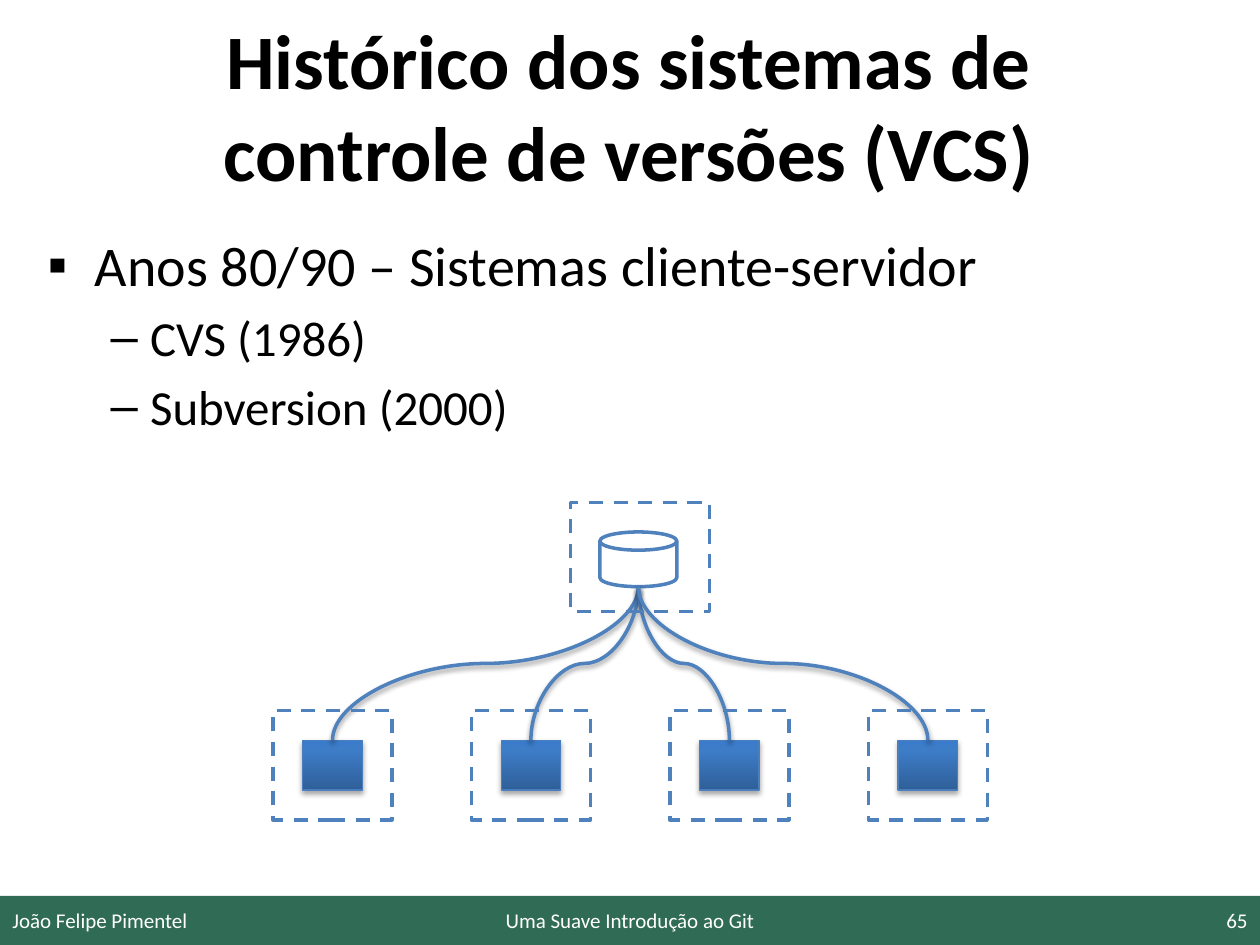
from dataclasses import dataclass

from lxml import etree
from pptx import Presentation
from pptx.dml.color import RGBColor
from pptx.enum.dml import MSO_LINE
from pptx.enum.shapes import MSO_CONNECTOR, MSO_SHAPE
from pptx.enum.text import MSO_ANCHOR, MSO_AUTO_SIZE, PP_ALIGN
from pptx.oxml.ns import qn
from pptx.util import Pt

RECTANGLE = MSO_SHAPE.RECTANGLE
DISK = MSO_SHAPE.FLOWCHART_MAGNETIC_DISK
CURVE = MSO_CONNECTOR.CURVE
DASH = MSO_LINE.DASH
LEFT, CENTER, RIGHT = PP_ALIGN.LEFT, PP_ALIGN.CENTER, PP_ALIGN.RIGHT
MIDDLE, TOP = MSO_ANCHOR.MIDDLE, MSO_ANCHOR.TOP

BLACK = RGBColor(0x00, 0x00, 0x00)
WHITE = RGBColor(0xFF, 0xFF, 0xFF)
GREEN = RGBColor(0x30, 0x6B, 0x55)
BLUE = RGBColor(0x4F, 0x81, 0xBD)
CLIENT_EDGE = RGBColor(0x4B, 0x7E, 0xBC)
# Position in percent and colour, from the bottom up
CLIENT_GRADIENT = (
    (0, RGBColor(0x2F, 0x5F, 0x99)),
    (80, RGBColor(0x3D, 0x7C, 0xC7)),
    (100, RGBColor(0x3A, 0x7C, 0xCB)),
)
FONT = "Calibri"


@dataclass(frozen=True)
class Box:
    """A rectangle in points."""
    left: float
    top: float
    width: float
    height: float

    @property
    def center(self) -> float:
        return self.left + self.width / 2

    @property
    def bottom(self) -> float:
        return self.top + self.height

    def lengths(self) -> tuple:
        return Pt(self.left), Pt(self.top), Pt(self.width), Pt(self.height)


@dataclass(frozen=True)
class FooterItem:
    text: str
    box: Box
    align: PP_ALIGN


FOOTER_BAR = Box(0, 512, 720, 28)
FOOTER_ITEMS = (
    FooterItem("João Felipe Pimentel", Box(0, 511.5, 168, 28.5), LEFT),
    FooterItem("Uma Suave Introdução ao Git", Box(246, 511.5, 228, 28.5), CENTER),
    FooterItem("65", Box(552, 511.5, 168, 28.5), RIGHT),
)
BULLETS = (
    ("Anos 80/90 – Sistemas cliente-servidor", 0),
    ("CVS (1986)", 1),
    ("Subversion (2000)", 1),
)
BULLET_SIZES = (32, 28)

SERVER_FRAME = Box(326, 287, 79.5, 62.5)
SERVER_DISK = Box(342.8, 304, 44, 31.3)
CLIENT_CENTERS = [190 + 113.4 * index for index in range(4)]
CLIENTS = [Box(center - 17, 423, 34, 28.5) for center in CLIENT_CENTERS]
CLIENT_FRAMES = [Box(center - 34, 406, 68, 62.5) for center in CLIENT_CENTERS]


def write(para, text: str, *, size: float, color: RGBColor = BLACK,
          bold: bool = False, align: PP_ALIGN = LEFT) -> None:
    para.alignment = align
    span = para.add_run()
    span.text = text
    span.font.name = FONT
    span.font.size = Pt(size)
    span.font.bold = bold
    span.font.color.rgb = color


def prepare_frame(shape, anchor: MSO_ANCHOR):
    frame = shape.text_frame
    frame.word_wrap = True
    frame.auto_size = MSO_AUTO_SIZE.NONE
    frame.vertical_anchor = anchor
    return frame


def place(shape, box: Box) -> None:
    shape.left, shape.top, shape.width, shape.height = box.lengths()


def draw_shape(page, kind: MSO_SHAPE, box: Box, *, fill: RGBColor | None = None,
               line: RGBColor | None = None, weight: float = 2,
               dash: MSO_LINE | None = None):
    shape = page.shapes.add_shape(kind, *box.lengths())
    shape.shadow.inherit = False
    if fill is None:
        shape.fill.background()
    else:
        shape.fill.solid()
        shape.fill.fore_color.rgb = fill
    if line is None:
        shape.line.fill.background()
    else:
        shape.line.color.rgb = line
        shape.line.width = Pt(weight)
        shape.line.dash_style = dash
    return shape


def add_shadow(shape, *, opacity: int, distance: float) -> None:
    properties = shape.element.spPr
    effects = properties.find(qn("a:effectLst"))
    if effects is None:
        effects = etree.SubElement(properties, qn("a:effectLst"))
    shadow = etree.SubElement(effects, qn("a:outerShdw"), blurRad=str(Pt(3.1)),
                              dist=str(Pt(distance)), dir="5400000", rotWithShape="0")
    color = etree.SubElement(shadow, qn("a:srgbClr"), val=str(BLACK))
    etree.SubElement(color, qn("a:alpha"), val=str(opacity * 1000))


def draw_client(page, box: Box) -> None:
    square = draw_shape(page, RECTANGLE, box, line=CLIENT_EDGE, weight=0.75)
    square.fill.gradient()
    square.fill.gradient_angle = 90
    stops = square.element.spPr.find(".//" + qn("a:gsLst"))
    stops.clear()
    for position, color in CLIENT_GRADIENT:
        stop = etree.SubElement(stops, qn("a:gs"), pos=str(position * 1000))
        etree.SubElement(stop, qn("a:srgbClr"), val=str(color))
    add_shadow(square, opacity=35, distance=1.8)


def draw_link(page, client: Box, server: Box) -> None:
    """Draw an S curve that leaves the client upwards, as a turned connector."""
    middle_x = (client.center + server.center) / 2
    middle_y = (client.top + server.bottom) / 2
    side = 1 if client.center < server.center else -1
    rise = side * (client.top - server.bottom) / 2
    reach = abs(server.center - client.center) / 2
    link = page.shapes.add_connector(
        CURVE, Pt(middle_x + rise), Pt(middle_y + reach),
        Pt(middle_x - rise), Pt(middle_y - reach))
    turn = 90 if side == 1 else 270
    link.element.spPr.find(qn("a:xfrm")).set("rot", str(turn * 60000))
    link.line.color.rgb = BLUE
    link.line.width = Pt(2)
    add_shadow(link, opacity=38, distance=1.6)


def main() -> None:
    deck = Presentation()
    deck.slide_width, deck.slide_height = Pt(720), Pt(540)
    page = deck.slides.add_slide(deck.slide_layouts[1])

    # Title
    title = page.shapes.title
    place(title, Box(72, 15, 575, 90))
    write(prepare_frame(title, MIDDLE).paragraphs[0],
          "Histórico dos sistemas de controle de versões (VCS)",
          size=44, bold=True, align=CENTER)

    # Bulleted list
    body = page.placeholders[1]
    place(body, Box(20, 128, 680, 363))
    frame = prepare_frame(body, TOP)
    for index, (text, level) in enumerate(BULLETS):
        para = frame.add_paragraph() if index else frame.paragraphs[0]
        para.level = level
        if index == 0:
            para.space_before = Pt(0)
        if level == 0:
            properties = para._p.get_or_add_pPr()
            etree.SubElement(properties, qn("a:buFont"), typeface="Arial")
            etree.SubElement(properties, qn("a:buChar"), char="▪")
        write(para, text, size=BULLET_SIZES[level])

    # Footer
    draw_shape(page, RECTANGLE, FOOTER_BAR, fill=GREEN)
    for item in FOOTER_ITEMS:
        label = page.shapes.add_textbox(*item.box.lengths())
        write(prepare_frame(label, MIDDLE).paragraphs[0], item.text,
              size=12, color=WHITE, align=item.align)

    # Server, clients and the links between them
    draw_shape(page, DISK, SERVER_DISK, fill=WHITE, line=BLUE)
    for client in CLIENTS:
        draw_client(page, client)
    for client in CLIENTS:
        draw_link(page, client, SERVER_DISK)
    for box in (SERVER_FRAME, *CLIENT_FRAMES):
        draw_shape(page, RECTANGLE, box, line=BLUE, dash=DASH)

    deck.save("out.pptx")


if __name__ == "__main__":
    main()
